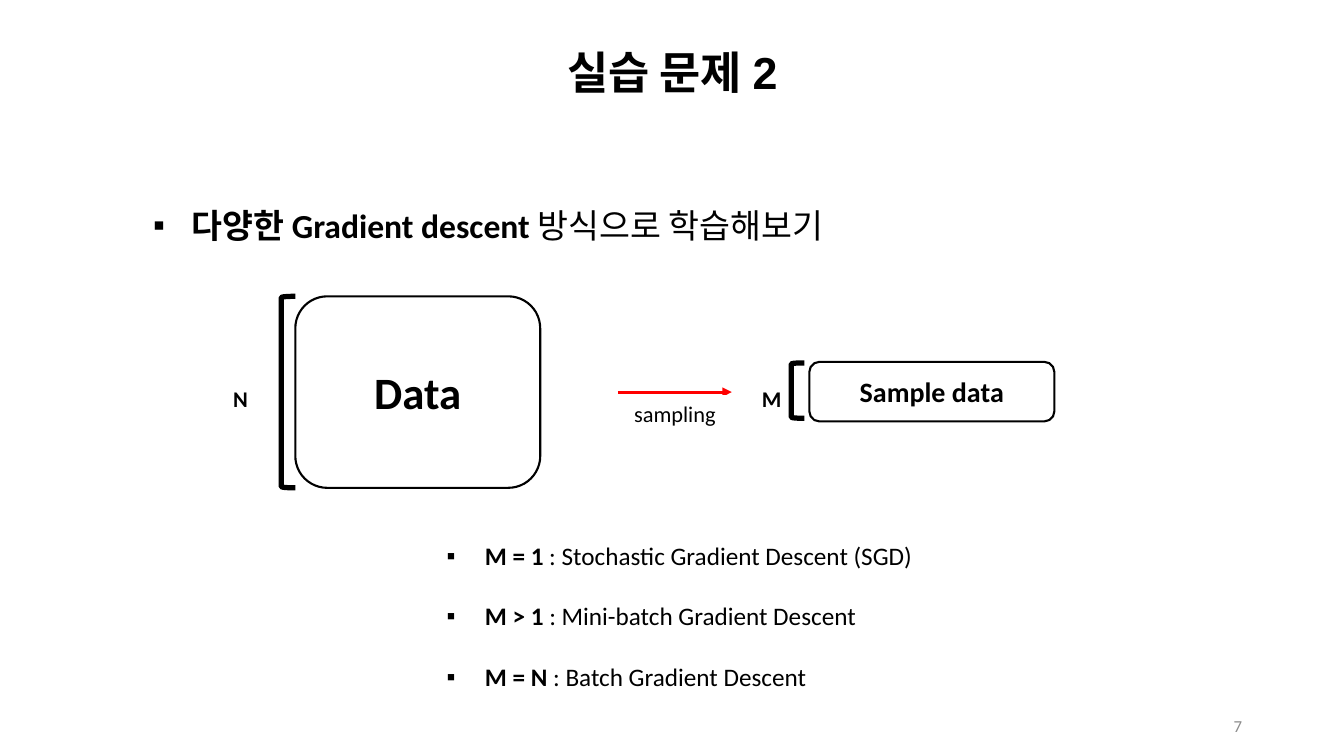
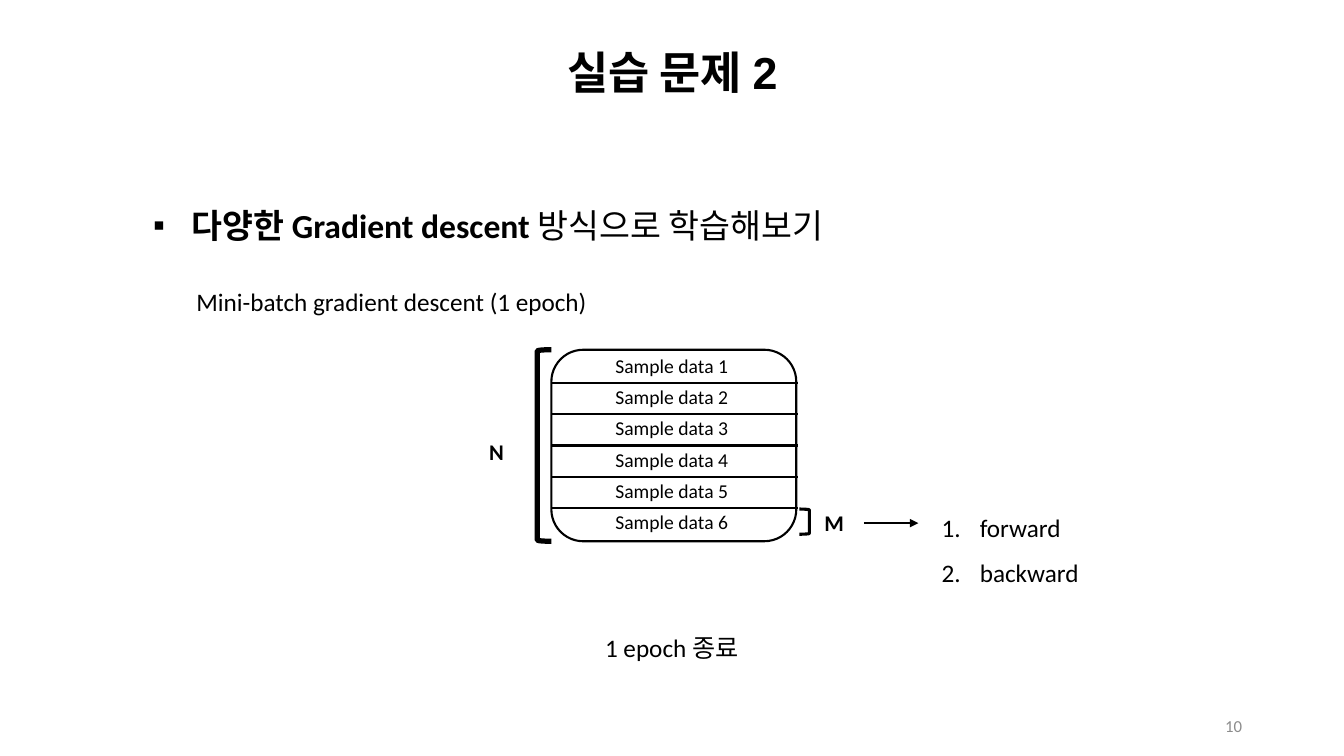
"""Build two practice slides on gradient descent sampling."""
from dataclasses import dataclass

from lxml import etree
from pptx import Presentation
from pptx import util as u
from pptx.dml.color import RGBColor
from pptx.enum import shapes, text
from pptx.oxml.ns import qn

BLACK = RGBColor(0x00, 0x00, 0x00)
WHITE = RGBColor(0xFF, 0xFF, 0xFF)
RED = RGBColor(0xFF, 0x00, 0x00)
GRAY = RGBColor(0x8C, 0x8C, 0x8C)

CELL = u.Inches(0.1)
COLUMNS, ROWS = 133.33, 75
TWO_CONTENT = 3

CENTER = text.PP_ALIGN.CENTER
TOP, MIDDLE = text.MSO_ANCHOR.TOP, text.MSO_ANCHOR.MIDDLE
GROW, FIXED = text.MSO_AUTO_SIZE.SHAPE_TO_FIT_TEXT, text.MSO_AUTO_SIZE.NONE
ROUNDED = shapes.MSO_SHAPE.ROUNDED_RECTANGLE
RECTANGLE = shapes.MSO_SHAPE.RECTANGLE
BRACKET = shapes.MSO_SHAPE.LEFT_BRACKET


@dataclass(frozen=True)
class Area:
    col: float
    row: float
    cols: float
    rows: float

    def emu(self) -> list[int]:
        return [cells(n) for n in (self.col, self.row, self.cols, self.rows)]


@dataclass(frozen=True)
class Style:
    size: float
    bold: bool = False
    color: RGBColor = BLACK
    font: str = "Calibri"
    align: text.PP_ALIGN = CENTER
    spacing: float = 1.0


@dataclass(frozen=True)
class Bullet:
    tag: str
    attribute: str
    value: str
    indent: float


@dataclass(frozen=True)
class Item:
    lead: str
    rest: str = ""


TITLE = Style(32, True, font="Arial", spacing=0.9)
HEADLINE = Style(24, True, align=text.PP_ALIGN.LEFT, spacing=2)
METHOD = Style(18, True, align=text.PP_ALIGN.LEFT, spacing=2)
STEP = Style(18, align=text.PP_ALIGN.LEFT, spacing=1.5)
NUMBER = Style(12, color=GRAY, align=text.PP_ALIGN.RIGHT)
NOTE = Style(18)
SIZE_LABEL = Style(16, True)
ARROW_LABEL = Style(16)
ROW_LABEL = Style(14)

HEADLINE_BULLET = Bullet("a:buChar", "char", "▪", 8.8)
METHOD_BULLET = Bullet("a:buChar", "char", "▪", 13.8)
STEP_BULLET = Bullet("a:buAutoNum", "type", "arabicPeriod", 3.8)
HANGING = 3.8


def cells(count: float) -> int:
    """Convert grid cells to a length."""
    return round(count * CELL)


def style_paragraph(paragraph, style: Style) -> None:
    """Apply a style to a paragraph and its runs."""
    paragraph.alignment = style.align
    paragraph.line_spacing = style.spacing
    paragraph.space_before = u.Pt(0)
    for run in paragraph.runs:
        run.font.size = u.Pt(style.size)
        run.font.name = style.font
        run.font.bold = style.bold
        run.font.color.rgb = style.color


def write(holder, wording: str, style: Style, anchor=TOP, fit=GROW) -> None:
    """Put one styled paragraph into a shape."""
    frame = holder.text_frame
    frame.text = wording
    frame.word_wrap = True
    frame.auto_size = fit
    frame.vertical_anchor = anchor
    style_paragraph(frame.paragraphs[0], style)


def fill_list(body, area: Area, items: list[Item], style: Style, bullet: Bullet) -> None:
    """Place a body placeholder and fill it with bulleted items."""
    body.left, body.top, body.width, body.height = area.emu()
    frame = body.text_frame
    frame.word_wrap = True
    frame.auto_size = GROW
    for index, item in enumerate(items):
        paragraph = frame.paragraphs[0] if index == 0 else frame.add_paragraph()
        paragraph.text = item.lead
        if item.rest:
            paragraph.add_run().text = item.rest
        style_paragraph(paragraph, style)
        for run in paragraph.runs[1:]:
            run.font.bold = False
        properties = paragraph._p.get_or_add_pPr()
        properties.set("marL", str(cells(bullet.indent)))
        properties.set("indent", str(-cells(HANGING)))
        etree.SubElement(properties, qn("a:buFont"), typeface="Arial")
        etree.SubElement(properties, qn(bullet.tag), {bullet.attribute: bullet.value})


def add_note(slide, area: Area, wording: str, style: Style, anchor=TOP) -> None:
    """Add a text box."""
    write(slide.shapes.add_textbox(*area.emu()), wording, style, anchor)


def add_outline(slide, kind, area: Area, weight: float):
    """Add an unfilled black outline."""
    outline = slide.shapes.add_shape(kind, *area.emu())
    outline.shadow.inherit = False
    outline.fill.background()
    outline.line.color.rgb = BLACK
    outline.line.width = u.Pt(weight)
    return outline


def add_label(slide, area: Area, wording: str, style: Style) -> None:
    """Add a white label without an outline."""
    label = slide.shapes.add_shape(RECTANGLE, *area.emu())
    label.shadow.inherit = False
    label.fill.solid()
    label.fill.fore_color.rgb = WHITE
    label.line.fill.background()
    write(label, wording, style)


def add_line(slide, start: float, end: float, row: float, weight: float,
             color: RGBColor = BLACK, arrow: bool = False):
    """Add a horizontal line, optionally with an arrowhead."""
    line = slide.shapes.add_connector(
        shapes.MSO_CONNECTOR.STRAIGHT, cells(start), cells(row), cells(end), cells(row))
    line.line.color.rgb = color
    line.line.width = u.Pt(weight)
    properties = line.element.spPr
    if arrow:
        etree.SubElement(properties.find(qn("a:ln")), qn("a:tailEnd"), type="triangle")
    etree.SubElement(properties, qn("a:effectLst"))
    return line


def add_dataset(slide, col: float, row: float):
    """Add the full data box with its bracket and N label."""
    dataset = add_outline(slide, ROUNDED, Area(col, row, 24.3, 19), 1.5)
    add_label(slide, Area(col - 8.4, row + 8.3, 5.9, 6.4), "N", SIZE_LABEL)
    add_outline(slide, BRACKET, Area(col - 1.4, row, 1.4, 19), 3.75)
    return dataset


def start_slide(deck, number: int):
    """Add a slide with the shared number, headline and title."""
    slide = deck.slides.add_slide(deck.slide_layouts[TWO_CONTENT])
    title, headline, details = slide.placeholders
    add_note(slide, Area(94.2, 70, 30, 4), str(number), NUMBER, MIDDLE)
    fill_list(headline, Area(9.2, 15.8, 111.1, 7.9),
              [Item("다양한 Gradient descent ", "방식으로 학습해보기")],
              HEADLINE, HEADLINE_BULLET)
    title.left, title.top, title.width, title.height = Area(9.2, 3, 115, 8.8).emu()
    write(title, "실습 문제 2", TITLE, MIDDLE, FIXED)
    return slide, details


def build_sampling(deck) -> None:
    """Show how a sample of size M is drawn from N data."""
    slide, methods = start_slide(deck, 7)
    dataset = add_dataset(slide, 29.3, 29.4)
    write(dataset, "Data", Style(32, True), MIDDLE, FIXED)
    add_line(slide, 61.3, 72.6, 38.9, 2.25, RED, arrow=True)
    add_label(slide, Area(57.4, 39.2, 19.1, 6.4), "sampling", ARROW_LABEL)
    sample = add_outline(slide, ROUNDED, Area(80.3, 35.9, 24.3, 5.9), 1.5)
    write(sample, "Sample data", Style(20, True), MIDDLE, FIXED)
    add_label(slide, Area(73.6, 37.7, 5.9, 6.4), "M", SIZE_LABEL)
    add_outline(slide, BRACKET, Area(78.5, 36, 1.3, 5.5), 3.75)
    fill_list(methods, Area(33.3, 50.1, 66.7, 18.3), [
        Item("M = 1", " : Stochastic Gradient Descent (SGD)"),
        Item("M > 1 ", ": Mini-batch Gradient Descent"),
        Item("M = N ", ": Batch Gradient Descent"),
    ], METHOD, METHOD_BULLET)


def build_epoch(deck) -> None:
    """Show one epoch of mini-batch gradient descent."""
    batches, pitch = 6, 3.1
    slide, steps = start_slide(deck, 10)
    dataset = add_dataset(slide, 54.7, 34.7)
    add_label(slide, Area(79.8, 50, 5.9, 6.4), "M", SIZE_LABEL)
    add_outline(slide, BRACKET, Area(79.3, 50.5, 1, 2.5), 2.25).rotation = 180
    for batch in range(batches):
        if batch:
            divider = add_line(slide, 54.7, 79.2, 34.9 + batch * pitch, 1.5)
            if batch == batches // 2:
                divider.begin_connect(dataset, 1)
        add_note(slide, Area(58.3, 34.6 + batch * pitch, 16.7, 3.4),
                 f"Sample data {batch + 1}", ROW_LABEL)
    add_line(slide, 85.7, 91.1, 51.9, 1.5, arrow=True)
    fill_list(steps, Area(92.4, 48.8, 16.8, 9.6),
              [Item("forward"), Item("backward")], STEP, STEP_BULLET)
    add_note(slide, Area(33.3, 62.2, 66.7, 4), "1 epoch 종료", NOTE)
    add_note(slide, Area(5.5, 27.9, 66.7, 4), "Mini-batch gradient descent (1 epoch)", NOTE)


def main() -> None:
    """Build and save the deck."""
    deck = Presentation()
    deck.slide_width, deck.slide_height = cells(COLUMNS), cells(ROWS)
    build_sampling(deck)
    build_epoch(deck)
    deck.save("out.pptx")


if __name__ == "__main__":
    main()
